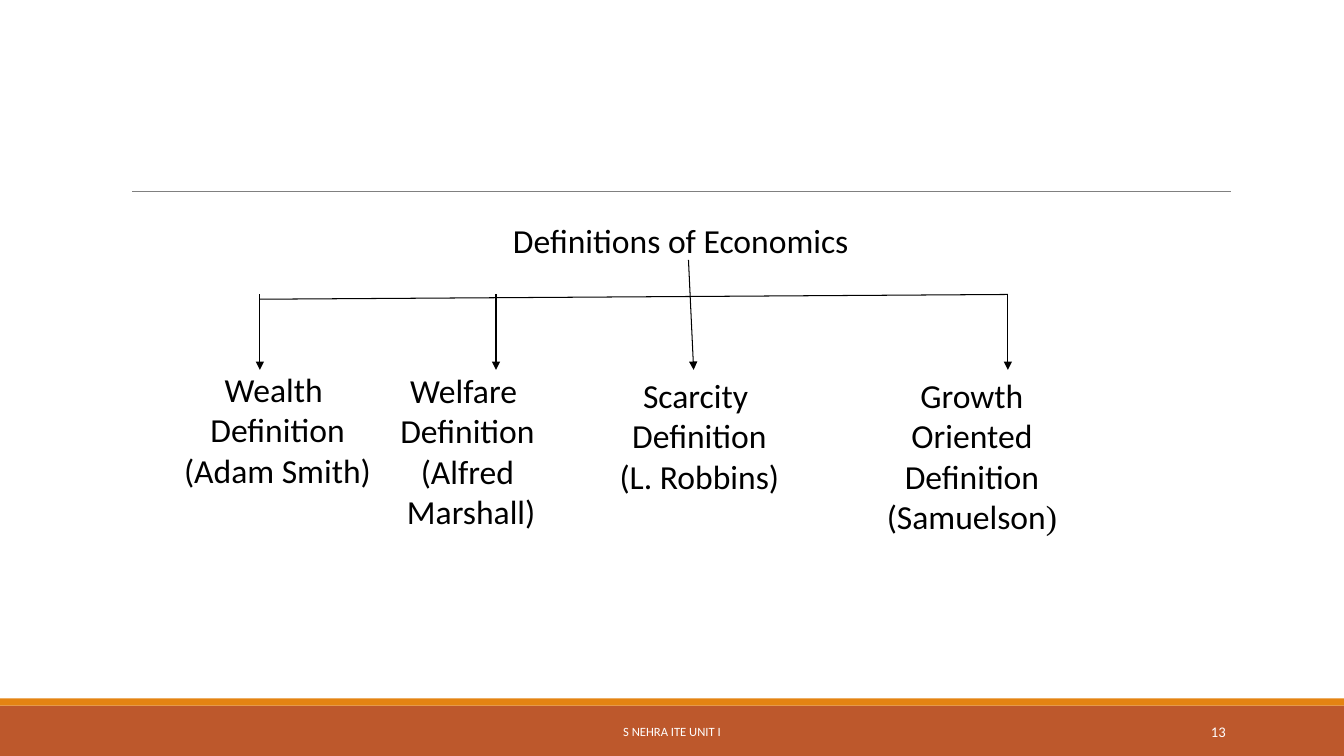
"""Build a slide that charts four definitions of economics."""
from dataclasses import dataclass

from lxml.etree import SubElement
from pptx import Presentation
from pptx.dml.color import RGBColor
from pptx.enum.shapes import MSO_CONNECTOR as Connector, MSO_SHAPE as Preset
from pptx.enum.text import MSO_ANCHOR as Anchor, MSO_AUTO_SIZE as AutoSize, PP_ALIGN as Align
from pptx.oxml.ns import qn
from pptx.shapes.base import BaseShape
from pptx.slide import Slide
from pptx.util import Cm, Pt

COLOURS = {"text": "000000", "band": "BD582C", "stripe": "E48312", "rule": "808080", "footer": "FFFFFF"}
SLIDE_WIDTH, SLIDE_HEIGHT = 33.87, 19.05
BRANCH_TOP, BRANCH_END = 7.42, 9.32


@dataclass(frozen=True)
class Bar:
    top: float
    height: float
    colour: str


@dataclass(frozen=True)
class Line:
    start: tuple[float, float]
    end: tuple[float, float]
    arrow: bool = True
    colour: str = "text"
    width: float = 0.75


@dataclass(frozen=True)
class Label:
    place: tuple[float, float, float, float]
    lines: tuple[str, ...]
    size: float = 24
    colour: str = "text"
    align: Align = Align.CENTER
    anchor: Anchor = Anchor.TOP
    wrap: bool = False


BARS = (Bar(17.78, 1.27, "band"), Bar(17.6, 0.18, "stripe"))
LINES = (
    Line((3.33, 4.83), (31.01, 4.83), False, "rule", 0.5),
    Line((6.55, 7.54), (25.4, BRANCH_TOP), False),
    Line((17.35, 6.55), (17.48, BRANCH_END)),
    *(Line((x, BRANCH_TOP), (x, BRANCH_END)) for x in (6.55, 12.5, 25.4)),
)
HEADING = Label((6.78, 5.41, 20.75, 1.28), ("Definitions of Economics",), wrap=True)
LABELS = (
    Label((4.24, 9.17, 5.51, 3.33), ("Wealth ", "Definition", "(Adam Smith)")),
    Label((9.8, 9.19, 3.96, 4.37), ("Welfare ", "Definition", "(Alfred", " Marshall)")),
    Label((15.34, 9.32, 4.57, 3.33), ("Scarcity ", "Definition", "(L. Robbins)")),
    Label((22.07, 9.32, 4.85, 4.37), ("Growth", " Oriented ", "Definition", "(Samuelson")),
    Label((27.51, 17.93, 3.63, 1.02), ("13",), 10.5, "footer", Align.RIGHT, Anchor.MIDDLE, True),
    Label((10.24, 17.93, 13.39, 1.02), ("S NEHRA ITE UNIT I",), 9, "footer", Align.CENTER, Anchor.MIDDLE, True),
)


def apply(target: object, values: dict[str, object]) -> None:
    """Set every named attribute on the target."""
    for name, value in values.items():
        setattr(target, name, value)


def colour_of(name: str) -> RGBColor:
    """Return the named colour."""
    return RGBColor.from_string(COLOURS[name])


def draw_bar(page: Slide, bar: Bar) -> None:
    """Draw a full-width footer bar."""
    box = page.shapes.add_shape(Preset.RECTANGLE, 0, Cm(bar.top), Cm(SLIDE_WIDTH), Cm(bar.height))
    box.shadow.inherit = False
    box.fill.solid()
    box.fill.fore_color.rgb = colour_of(bar.colour)
    box.line.fill.background()


def draw_line(page: Slide, line: Line) -> None:
    """Draw a straight line, with an arrowhead if asked."""
    points = [Cm(length) for length in (*line.start, *line.end)]
    link = page.shapes.add_connector(Connector.STRAIGHT, *points)
    link.line.color.rgb = colour_of(line.colour)
    link.line.width = Pt(line.width)
    if line.arrow:
        SubElement(link.line._get_or_add_ln(), qn("a:tailEnd"), type="triangle")
    SubElement(link._element.spPr, qn("a:effectLst"))


def add_span(para: object, text: str, label: Label, font: str = "Calibri") -> None:
    """Add one formatted run to a paragraph."""
    span = para.add_run()
    span.text = text
    apply(span.font, {"name": font, "size": Pt(label.size)})
    span.font.color.rgb = colour_of(label.colour)


def write_label(box: BaseShape, label: Label) -> None:
    """Place a box and fill it with the lines of its label."""
    apply(box, dict(zip(("left", "top", "width", "height"), map(Cm, label.place))))
    frame = box.text_frame
    apply(frame, {
        "word_wrap": label.wrap, "auto_size": AutoSize.NONE, "vertical_anchor": label.anchor,
        "margin_left": Cm(0.25), "margin_right": Cm(0.25), "margin_top": Cm(0.13), "margin_bottom": Cm(0.13),
    })
    for index, text in enumerate(label.lines):
        para = frame.add_paragraph() if index else frame.paragraphs[0]
        para.alignment = label.align
        add_span(para, text, label)
        if text == "(Samuelson":
            add_span(para, ")", label, "Times New Roman")


def main() -> None:
    """Build and save the deck."""
    deck = Presentation()
    apply(deck, {"slide_width": Cm(SLIDE_WIDTH), "slide_height": Cm(SLIDE_HEIGHT)})
    page = deck.slides.add_slide(deck.slide_layouts[5])
    for bar in BARS:
        draw_bar(page, bar)
    for line in LINES:
        draw_line(page, line)
    write_label(page.shapes.title, HEADING)
    for label in LABELS:
        write_label(page.shapes.add_textbox(0, 0, 0, 0), label)
    deck.save("out.pptx")


if __name__ == "__main__":
    main()
